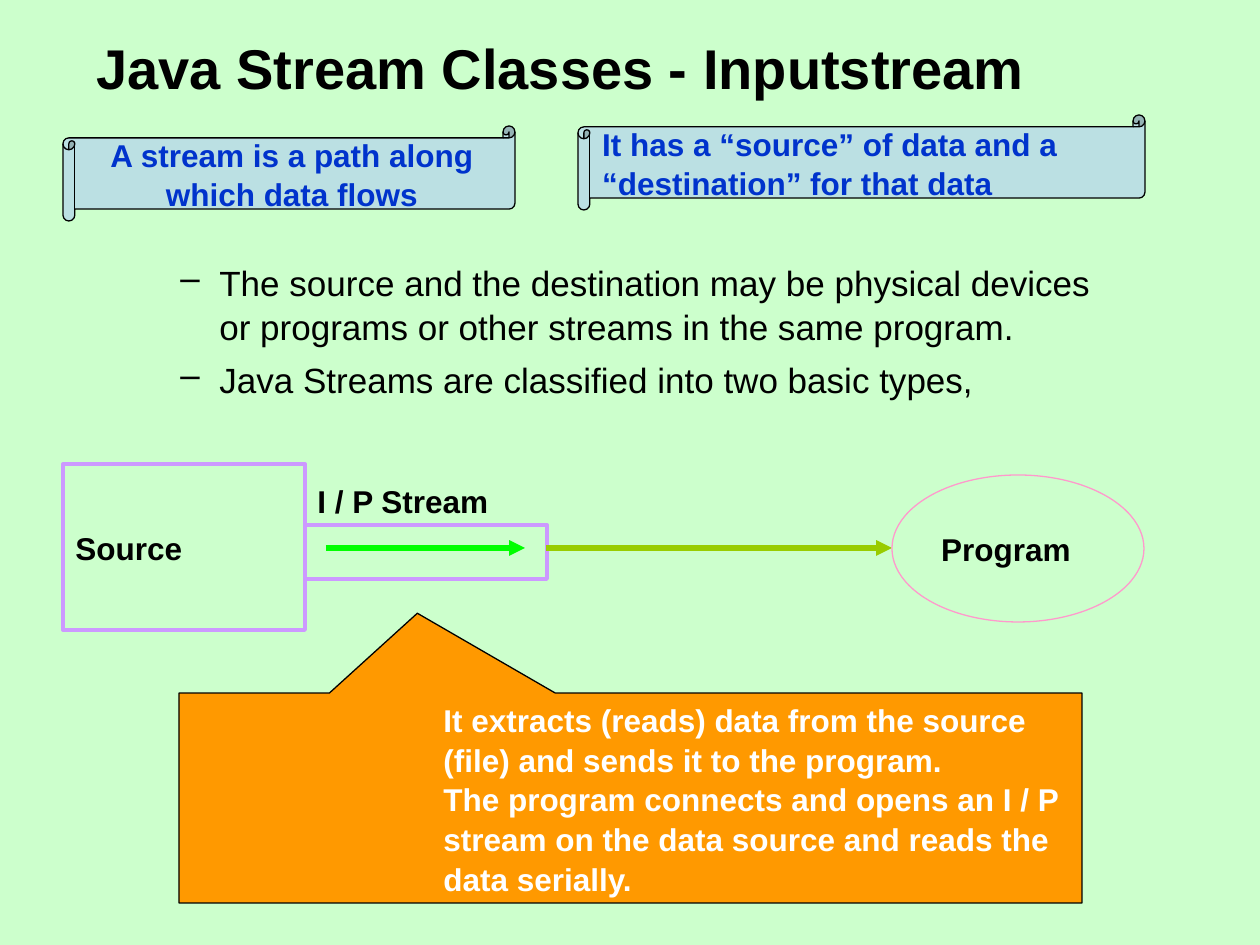
from pptx import Presentation
from pptx.dml.color import RGBColor
from pptx.enum.shapes import MSO_CONNECTOR, MSO_SHAPE
from pptx.enum.text import MSO_ANCHOR, PP_ALIGN
from pptx.oxml.ns import qn
from pptx.util import Pt
from lxml import etree

RECTANGLE, ELLIPSE = MSO_SHAPE.RECTANGLE, MSO_SHAPE.OVAL
SCROLL, CALLOUT = MSO_SHAPE.HORIZONTAL_SCROLL, MSO_SHAPE.RECTANGULAR_CALLOUT
STRAIGHT = MSO_CONNECTOR.STRAIGHT
TOP, MIDDLE = MSO_ANCHOR.TOP, MSO_ANCHOR.MIDDLE
LEFT, CENTER = PP_ALIGN.LEFT, PP_ALIGN.CENTER

EMU_PER_PX = 914400 / 126
COLORS = {
    "background": "CCFFCC", "black": "000000", "white": "FFFFFF",
    "blue": "0033CC", "scroll": "BBE0E3", "purple": "CC99FF",
    "pink": "FF99CC", "orange": "FF9900", "green": "00FF00", "olive": "99CC00",
}


def px(length):
    return round(length * EMU_PER_PX)


def color(name):
    return RGBColor.from_string(COLORS[name])


class StreamSlide:
    font_name = "Arial"
    line_spacing = 1.05

    def __init__(self, deck):
        self.slide = deck.slides.add_slide(deck.slide_layouts[6])
        fill = self.slide.background.fill
        fill.solid()
        fill.fore_color.rgb = color("background")

    def set_lines(self, shape, lines, size=18, bold=True, ink="black", anchor=TOP,
                  align=LEFT, margin=0, hanging=0, gap=0, bullet=None):
        frame = shape.text_frame
        frame.word_wrap = True
        frame.vertical_anchor = anchor
        for index, line in enumerate(lines):
            para = frame.add_paragraph() if index else frame.paragraphs[0]
            properties = para._p.get_or_add_pPr()
            properties.set("marL", str(px(margin)))
            properties.set("indent", str(-px(hanging)))
            if bullet:
                etree.SubElement(properties, qn("a:buChar")).set("char", bullet)
            layout = {"alignment": align, "line_spacing": self.line_spacing,
                      "space_before": Pt(gap if index else 0)}
            for name, value in layout.items():
                setattr(para, name, value)
            span = para.add_run()
            span.text = line
            style = {"name": self.font_name, "size": Pt(size), "bold": bold}
            for name, value in style.items():
                setattr(span.font, name, value)
            span.font.color.rgb = color(ink)

    def text(self, bounds, lines, **style):
        box = self.slide.shapes.add_textbox(*map(px, bounds))
        self.set_lines(box, lines, **style)

    def shape(self, kind, bounds, outline, width=0.75, fill=None, lines=(),
              adjustments=(), **style):
        shape = self.slide.shapes.add_shape(kind, *map(px, bounds))
        shape.shadow.inherit = False
        for index, value in enumerate(adjustments):
            shape.adjustments[index] = value
        if fill:
            shape.fill.solid()
            shape.fill.fore_color.rgb = color(fill)
        else:
            shape.fill.background()
        shape.line.color.rgb = color(outline)
        shape.line.width = Pt(width)
        self.set_lines(shape, lines, **style)

    def arrow(self, start, end, y, ink):
        arrow = self.slide.shapes.add_connector(STRAIGHT, px(start), px(y), px(end), px(y))
        arrow.line.color.rgb = color(ink)
        arrow.line.width = Pt(3)
        properties = arrow._element.spPr
        line = properties.find(qn("a:ln"))
        etree.SubElement(line, qn("a:tailEnd")).set("type", "triangle")
        etree.SubElement(properties, qn("a:effectLst"))


def main():
    deck = Presentation()
    deck.slide_width, deck.slide_height = px(1260), px(945)
    page = StreamSlide(deck)

    page.text((105, 253, 1018, 158), [
        "The source and the destination may be physical devices or programs"
        " or other streams in the same program.",
        "Java Streams are classified into two basic types,",
    ], size=20, bold=False, margin=102, hanging=39, gap=5, bullet="–")

    page.shape(RECTANGLE, (63, 464, 242, 166), "purple", 2.25,
               lines=["Source"], anchor=MIDDLE)
    page.shape(RECTANGLE, (305, 525, 242, 54), "purple", 2.25)
    page.text((305, 474, 242, 50), ["I / P Stream"])
    page.arrow(326, 525, 548, "green")
    page.arrow(546, 892, 548, "olive")
    page.shape(ELLIPSE, (892, 475, 252, 147), "pink", lines=["Program"], anchor=MIDDLE)

    page.text((84, 24, 1018, 81), ["Java Stream Classes - Inputstream"], size=32)
    scrolls = [
        ((63, 126, 452, 95), CENTER, "A stream is a path along which data flows"),
        ((578, 115, 567, 95), LEFT,
         "It has a “source” of data and a “destination” for that data"),
    ]
    for bounds, align, line in scrolls:
        page.shape(SCROLL, bounds, "black", fill="scroll", lines=[line],
                   adjustments=[0.125], ink="blue", anchor=MIDDLE, align=align)

    page.shape(CALLOUT, (179, 693, 903, 210), "black", fill="orange", lines=[
        "It extracts (reads) data from the source (file) and sends it to the program.",
        "The program connects and opens an I / P stream on the data source"
        " and reads the data serially.",
    ], adjustments=[-0.236, -0.88], ink="white", margin=252)

    deck.save("out.pptx")


if __name__ == "__main__":
    main()
